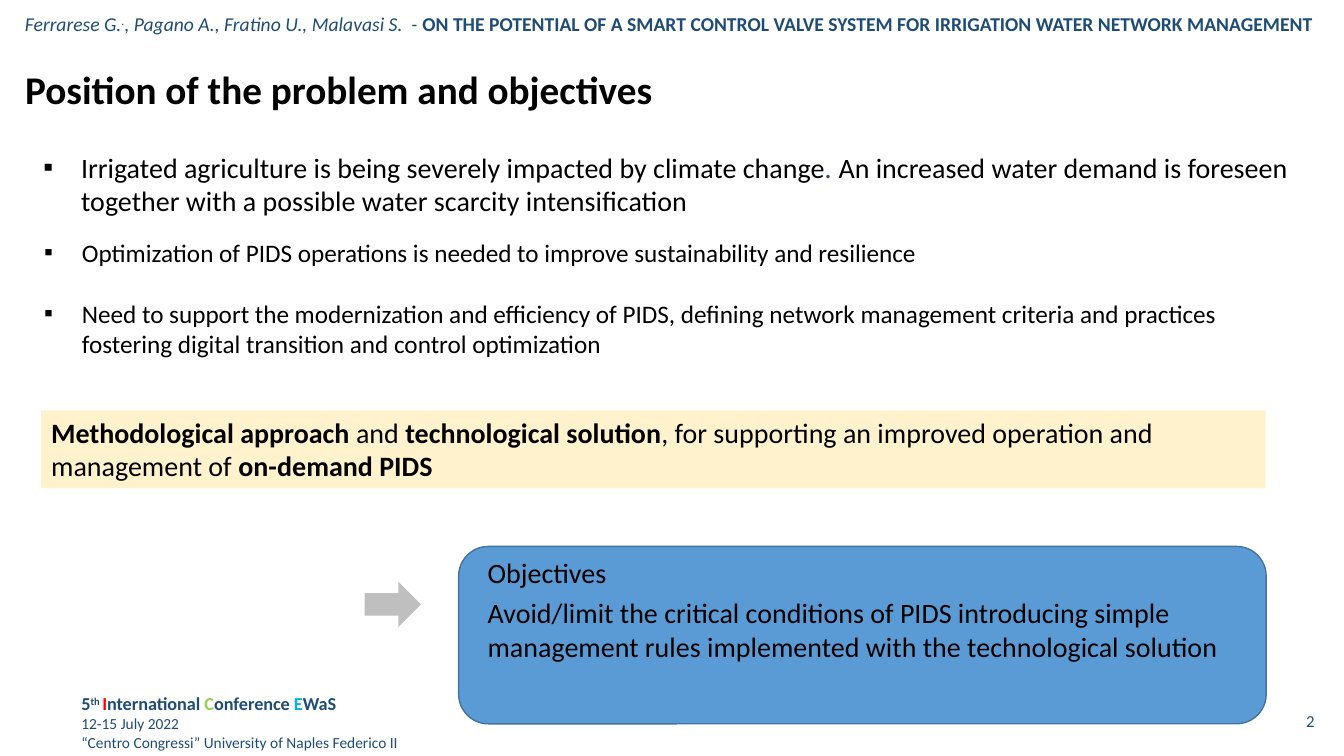
"""Build the slide on the position of the problem and the objectives."""
from lxml import etree
from pptx import Presentation
from pptx.dml.color import RGBColor
from pptx.enum.shapes import MSO_SHAPE
from pptx.enum.text import MSO_ANCHOR, MSO_AUTO_SIZE, PP_ALIGN
from pptx.oxml.ns import qn
from pptx.util import Cm, Pt

RECT, ROUNDED, ARROW = MSO_SHAPE.RECTANGLE, MSO_SHAPE.ROUNDED_RECTANGLE, MSO_SHAPE.RIGHT_ARROW
TOP, MIDDLE = MSO_ANCHOR.TOP, MSO_ANCHOR.MIDDLE
LEFT, RIGHT = PP_ALIGN.LEFT, PP_ALIGN.RIGHT
NO_FIT = MSO_AUTO_SIZE.NONE

BLACK = RGBColor(0x00, 0x00, 0x00)
NAVY = RGBColor(0x1F, 0x4C, 0x77)
RED = RGBColor(0xFF, 0x00, 0x00)
GREEN = RGBColor(0x92, 0xD0, 0x50)
CYAN = RGBColor(0x00, 0xB0, 0xF0)
BLUE = RGBColor(0x5B, 0x9B, 0xD5)
DARK_BLUE = RGBColor(0x43, 0x73, 0x9E)
CREAM = RGBColor(0xFF, 0xF2, 0xCC)
GREY = RGBColor(0xBF, 0xBF, 0xBF)


class Deck:
    """Hold the text style and the current slide."""

    font = "Calibri"
    hanging = Cm(0.95)

    def __init__(self, prs, layout):
        self.s = prs.slides.add_slide(prs.slide_layouts[layout])

    def fill_text(self, sp, paragraphs, size, color=BLACK, anchor=TOP, align=LEFT, bullet=None, gap=0):
        """Fill a shape with paragraphs, each a list of (text, style) runs."""
        tf = sp.text_frame
        tf.word_wrap = True
        tf.auto_size = NO_FIT
        tf.vertical_anchor = anchor
        for i, runs in enumerate(paragraphs):
            p = tf.add_paragraph() if i else tf.paragraphs[0]
            if bullet:
                self.bullet(p, bullet)
            p.alignment = align
            p.space_before = Pt(gap if i else 0)
            for text, style in runs:
                r = p.add_run()
                r.text = text
                r.font.name = self.font
                r.font.size = Pt(style.get("size", size))
                r.font.bold = style.get("bold", False)
                r.font.italic = style.get("italic", False)
                r.font.color.rgb = style.get("color", color)
                if style.get("raised"):
                    r._r.get_or_add_rPr().set("baseline", "30000")

    def bullet(self, p, char):
        """Give a paragraph a hanging bullet."""
        pPr = p._p.get_or_add_pPr()
        pPr.set("marL", str(self.hanging))
        pPr.set("indent", str(-self.hanging))
        etree.SubElement(pPr, qn("a:buFont")).set("typeface", "Arial")
        etree.SubElement(pPr, qn("a:buChar")).set("char", char)

    def placeholder(self, idx, box, paragraphs, size, **style):
        """Move a template placeholder and fill it."""
        sp = self.s.placeholders[idx]
        sp.left, sp.top, sp.width, sp.height = map(Cm, box)
        self.fill_text(sp, paragraphs, size, **style)

    def text(self, box, paragraphs, size, **style):
        """Add a text box."""
        sp = self.s.shapes.add_textbox(*map(Cm, box))
        self.fill_text(sp, paragraphs, size, **style)

    def shape(self, kind, box, fill, line=None):
        """Add a flat preset shape."""
        sp = self.s.shapes.add_shape(kind, *map(Cm, box))
        sp.shadow.inherit = False
        sp.fill.solid()
        sp.fill.fore_color.rgb = fill
        if line:
            sp.line.color.rgb = line
            sp.line.width = Pt(1)
        else:
            sp.line.fill.background()
        return sp


def main():
    """Build and save the slide."""
    prs = Presentation()
    prs.slide_width, prs.slide_height = Cm(33.87), Cm(19.05)
    deck = Deck(prs, 3)
    bold, italic = {"bold": True}, {"italic": True}

    deck.text((0.38, 0.18, 33.48, 0.86), [[
        ("Ferrarese G.", italic),
        (".", {"italic": True, "raised": True}),
        (", Pagano A., Fratino U., Malavasi S.  - ", italic),
        ("ON THE POTENTIAL OF A SMART CONTROL VALVE SYSTEM FOR IRRIGATION WATER NETWORK MANAGEMENT", bold),
    ]], 14, color=NAVY)
    deck.placeholder(0, (0.38, 1.52, 17.5, 1.45),
                     [[("Position of the problem and objectives", bold)]], 28)

    deck.placeholder(1, (0.84, 3.66, 33.02, 2.1), [[
        ("Irrigated agriculture is being severely impacted by climate change", {}),
        (".", {"italic": True, "color": NAVY}),
        (" An increased water demand is foreseen together with a possible water scarcity intensification", {}),
    ]], 20, bullet="▪")
    deck.placeholder(2, (0.86, 5.84, 30.99, 3.33), [
        [("Optimization of PIDS operations is needed to improve sustainability and resilience", {})],
        [("Need to support the modernization and efficiency of PIDS, defining network management "
          "criteria and practices fostering digital transition and control optimization", {})],
    ], 18, bullet="▪", gap=22)

    approach = deck.shape(RECT, (1.04, 10.34, 30.86, 1.96), CREAM)
    deck.fill_text(approach, [[
        ("Methodological approach ", bold),
        ("and ", {}),
        ("technological solution", bold),
        (", for supporting an improved operation and management of ", {}),
        ("on-demand PIDS", bold),
    ]], 20)

    deck.shape(ARROW, (9.19, 14.66, 1.42, 1.14), GREY)
    deck.shape(ROUNDED, (11.56, 13.77, 20.35, 4.47), BLUE, DARK_BLUE)
    deck.text((12.04, 13.87, 5.31, 1.12), [[("Objectives", {})]], 20)
    deck.text((12.04, 14.88, 19.2, 1.96), [[
        ("Avoid/limit the critical conditions of PIDS introducing simple management rules "
         "implemented with the technological solution", {}),
    ]], 20)

    conference = [("5", NAVY), ("th ", NAVY), ("I", RED), ("nternational ", NAVY),
                  ("C", GREEN), ("onference ", NAVY), ("E", CYAN), ("WaS", NAVY)]
    deck.text((1.8, 17.32, 18.92, 1.75), [
        [(text, {"size": 13, "bold": True, "color": color, "raised": text == "th "})
         for text, color in conference],
        [("12-15 July 2022", {})],
        [("“Centro Congressi” University of Naples Federico II", {})],
    ], 11, color=NAVY)
    deck.text((25.76, 17.65, 7.62, 1.02), [[("2", {})]], 12, color=NAVY, anchor=MIDDLE, align=RIGHT)

    prs.save("out.pptx")


if __name__ == "__main__":
    main()
